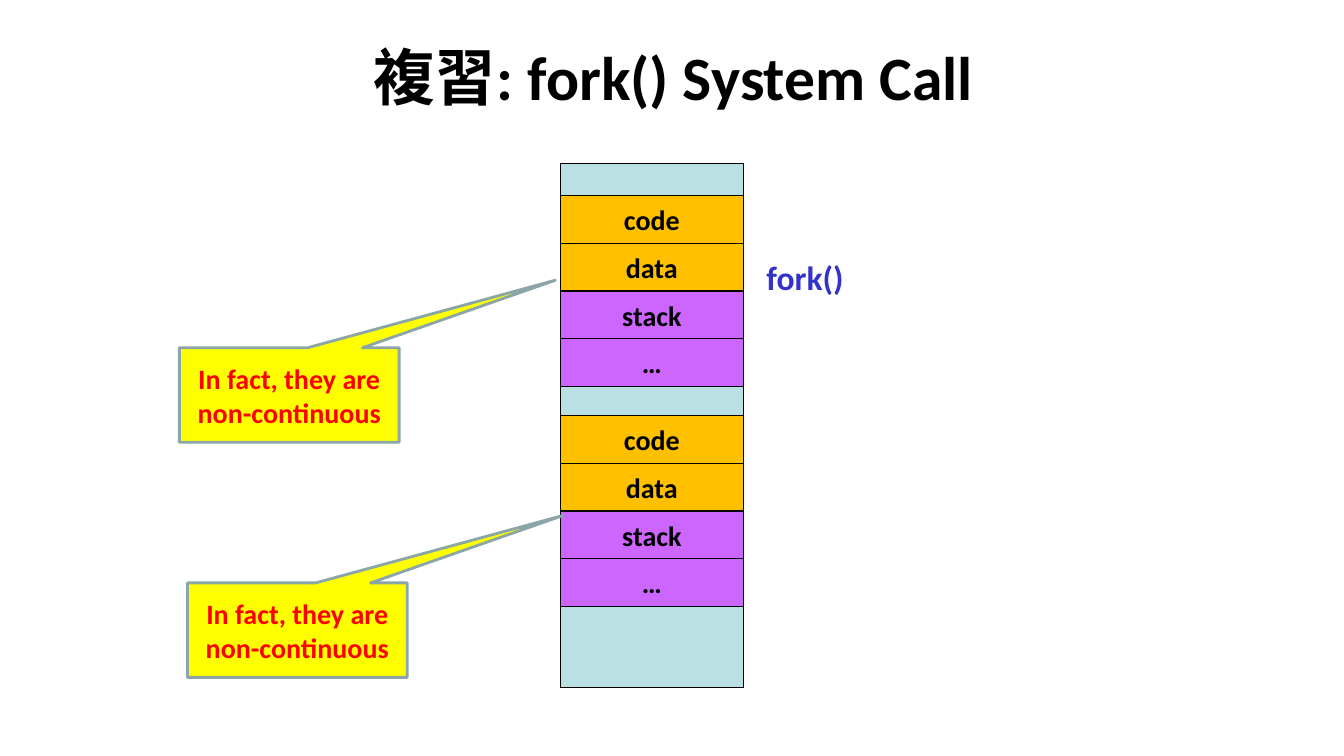
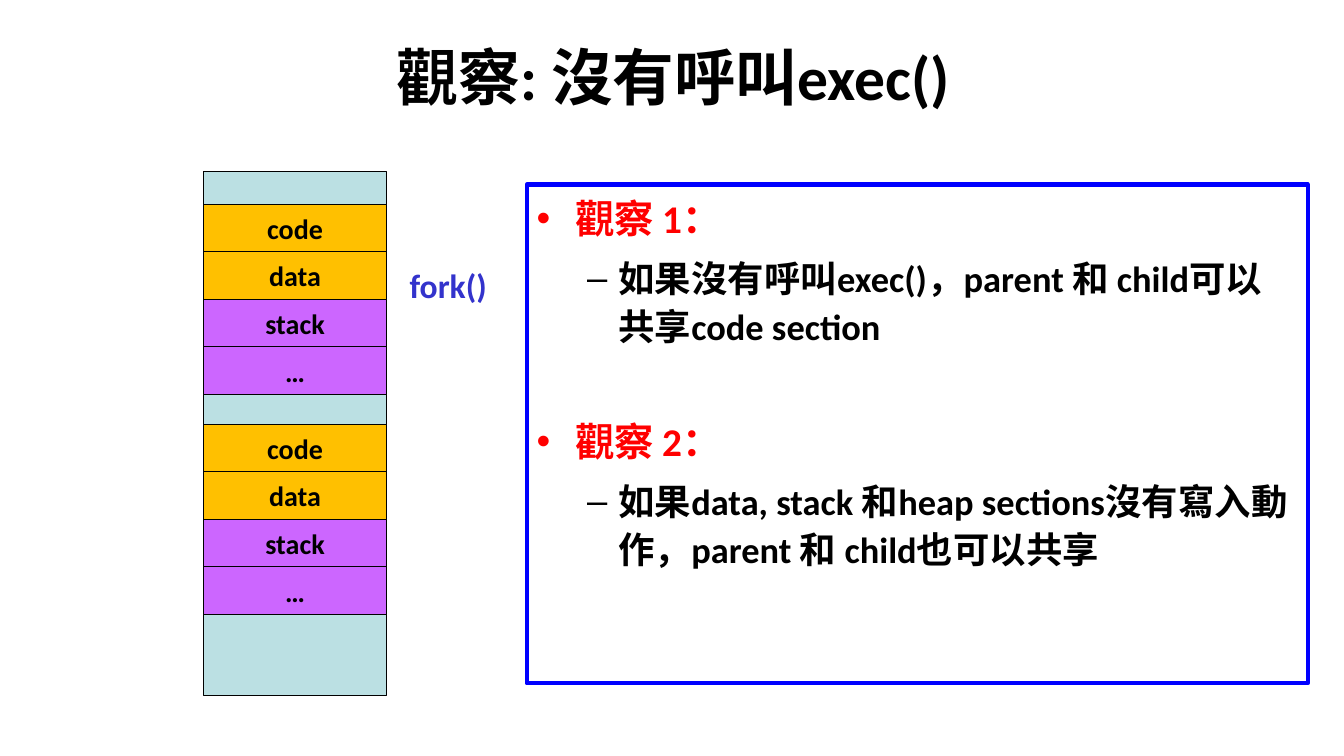
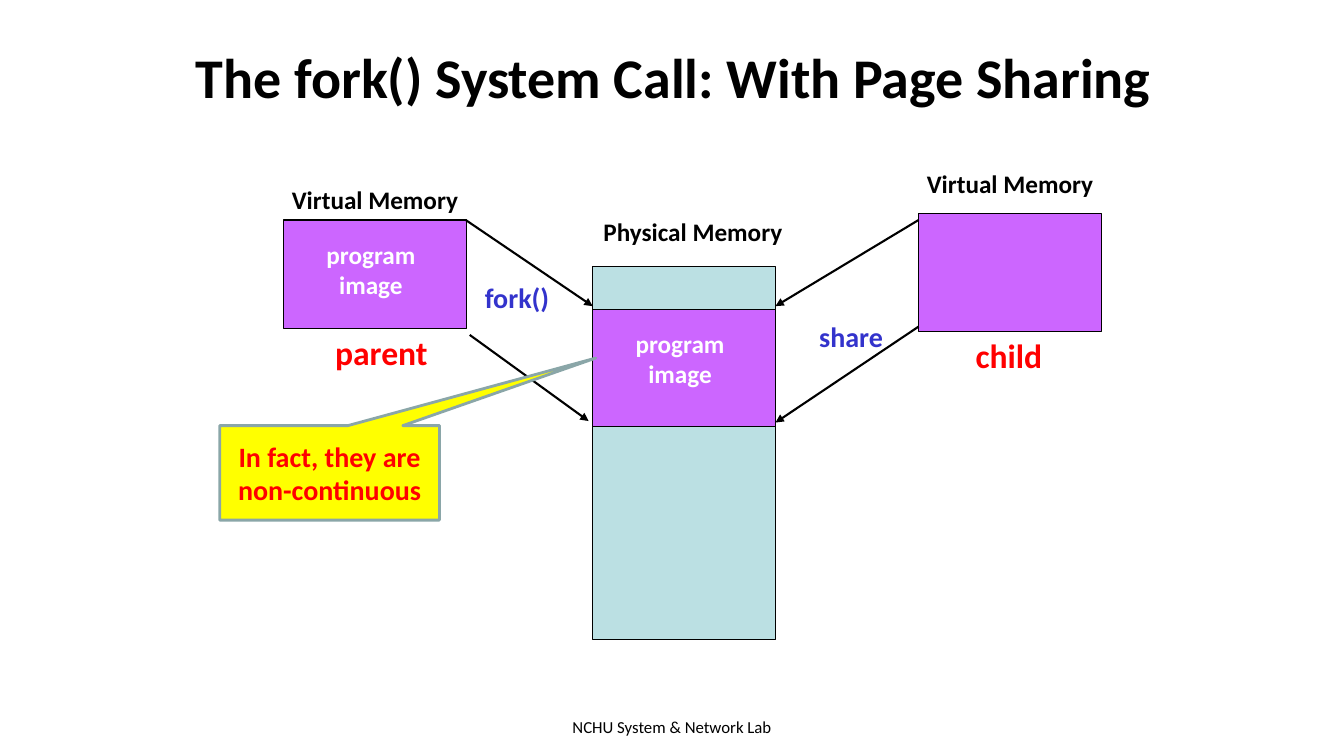
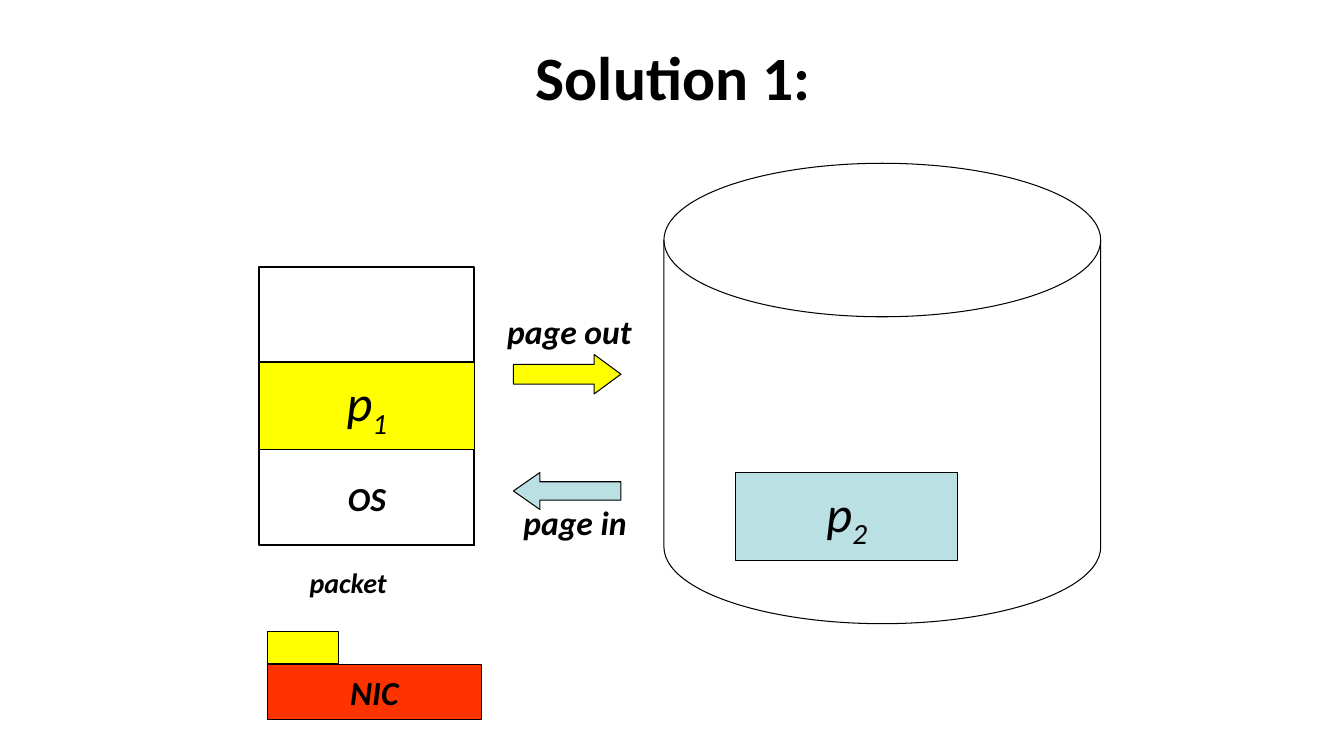
from lxml.etree import SubElement
from pptx import Presentation
from pptx.dml.color import RGBColor
from pptx.enum.shapes import MSO_CONNECTOR, MSO_SHAPE as SHAPE
from pptx.enum.text import MSO_ANCHOR as ANCHOR, PP_ALIGN as ALIGN
from pptx.oxml.ns import qn
from pptx.util import Inches, Pt

# Slide size; every length below is a percentage of its width or height
SLIDE_W, SLIDE_H = Inches(13.33), Inches(7.5)

FONT = "Calibri"
BLACK = RGBColor(0x00, 0x00, 0x00)
WHITE = RGBColor(0xFF, 0xFF, 0xFF)
RED = RGBColor(0xFF, 0x00, 0x00)
YELLOW = RGBColor(0xFF, 0xFF, 0x00)
ORANGE = RGBColor(0xFF, 0xC0, 0x00)
PURPLE = RGBColor(0xCC, 0x66, 0xFF)
PALE_TEAL = RGBColor(0xBB, 0xE0, 0xE3)
GREY_TEAL = RGBColor(0x8A, 0xA6, 0xA8)
INDIGO = RGBColor(0x33, 0x33, 0xCC)
FRAME_BLUE = RGBColor(0x00, 0x00, 0xFF)
NIC_RED = RGBColor(0xFF, 0x33, 0x00)

# Memory diagrams
MEMORY_W = 13.6
SECTION_H = 6.3
PROCESS_TOPS = (4.3, 33.4)
SECTIONS = (("code", ORANGE), ("data", ORANGE), ("stack", PURPLE), ("…", PURPLE))
IMAGE_H = 15.5
LABEL_H = 5.3


def across(share):
    return round(SLIDE_W * share / 100)


def down(share):
    return round(SLIDE_H * share / 100)


def area(left, top, width, height):
    return across(left), down(top), across(width), down(height)


def style_font(font, size, color=BLACK, bold=True, italic=False):
    font.name = FONT
    font.size = Pt(size)
    font.color.rgb = color
    font.bold = bold
    font.italic = italic


def write(shape, text, size, wrap=True, anchor=ANCHOR.MIDDLE, align=ALIGN.CENTER, **look):
    frame = shape.text_frame
    frame.text = text
    frame.word_wrap = wrap
    frame.vertical_anchor = anchor
    paragraph = frame.paragraphs[0]
    paragraph.alignment = align
    style_font(paragraph.runs[0].font, size, **look)
    return paragraph


def add_label(slide, box, text, size, anchor=ANCHOR.TOP, **look):
    write(slide.shapes.add_textbox(*area(*box)), text, size, anchor=anchor, **look)


def add_title(slide, text, size=44):
    add_label(slide, (5.1, 1.7, 90, 16.7), text, size, anchor=ANCHOR.MIDDLE)


def add_block(slide, box, fill=None, kind=SHAPE.RECTANGLE, line=BLACK, weight=0.75):
    block = slide.shapes.add_shape(kind, *area(*box))
    block.shadow.inherit = False
    if fill is None:
        block.fill.background()
    else:
        block.fill.solid()
        block.fill.fore_color.rgb = fill
    block.line.color.rgb = line
    block.line.width = Pt(weight)
    return block


def add_callout(slide, left, top):
    callout = add_block(slide, (left, top, 16.35, 12.5), YELLOW,
                        SHAPE.RECTANGULAR_CALLOUT, GREY_TEAL, 2)
    callout.adjustments[0], callout.adjustments[1] = 1.211, -1.215
    write(callout, "In fact, they are non-continuous", 20, color=RED)


def add_arrow(slide, start, end):
    arrow = slide.shapes.add_connector(
        MSO_CONNECTOR.STRAIGHT,
        across(start[0]), down(start[1]), across(end[0]), down(end[1]))
    arrow.line.color.rgb = BLACK
    arrow.line.width = Pt(1.5)
    SubElement(arrow.line._get_or_add_ln(), qn("a:tailEnd"), type="triangle")
    SubElement(arrow._element.spPr, qn("a:effectLst"))


def add_forked_memory(slide, left, top):
    """Physical memory holding the sections of two processes."""
    add_block(slide, (left, top, MEMORY_W, 69.3), PALE_TEAL)
    for offset in PROCESS_TOPS:
        for row, (name, fill) in enumerate(SECTIONS):
            section_top = top + offset + row * SECTION_H
            section = add_block(slide, (left, section_top, MEMORY_W, SECTION_H), fill)
            write(section, name, 20, wrap=False)
    add_label(slide, (left + 12, top + 11.7, 12.4, 6.7), "fork()", 24, color=INDIGO)


def add_bullet(paragraph, text, level, size, color, before):
    mark, margin, hang = (("•", 0.38, 0.38), ("–", 0.81, 0.31))[level]
    paragraph.text = text
    paragraph.level = level
    paragraph.line_spacing = 1.1
    paragraph.space_before = Pt(before)
    properties = paragraph._p.get_or_add_pPr()
    properties.set("marL", str(Inches(margin)))
    properties.set("indent", str(-Inches(hang)))
    SubElement(properties, qn("a:buFont"), typeface="Arial")
    SubElement(properties, qn("a:buChar"), char=mark)
    style_font(paragraph.runs[0].font, size, color)


def add_observations(slide, box, observations):
    panel = slide.shapes.add_textbox(*area(*box))
    panel.line.color.rgb = FRAME_BLUE
    panel.line.width = Pt(3)
    frame = panel.text_frame
    frame.word_wrap = True
    for number, (heading, detail) in enumerate(observations):
        first = frame.add_paragraph() if number else frame.paragraphs[0]
        add_bullet(first, heading, 0, 28, RED, 46 if number else 0)
        add_bullet(frame.add_paragraph(), detail, 1, 26, BLACK, 7.7)


def add_program_image(slide, left, top, height):
    add_block(slide, (left, top, MEMORY_W, height), PURPLE)
    add_label(slide, (left, top + 1.9, 13, 9.5), "program image", 18, color=WHITE)


def add_page(slide, box, fill, number):
    paragraph = write(add_block(slide, box, fill), "p", 36,
                      wrap=False, bold=False, italic=True)
    subscript = paragraph.add_run()
    subscript.text = number
    style_font(subscript.font, 36, bold=False, italic=True)
    subscript._r.get_or_add_rPr().set("baseline", "-25000")


def add_transfer(slide, kind, box, fill, head, label_box, text):
    arrow = add_block(slide, box, fill, kind)
    arrow.adjustments[0], arrow.adjustments[1] = 0.5, head
    add_label(slide, label_box, text, 24, wrap=False, align=ALIGN.LEFT, italic=True)


def fork_review(slide):
    add_title(slide, "複習: fork() System Call")
    add_forked_memory(slide, 41.7, 21.6)
    add_callout(slide, 13.35, 46)
    add_callout(slide, 13.95, 77.1)


def without_exec(slide):
    add_title(slide, "觀察: 沒有呼叫exec()")
    add_forked_memory(slide, 15.15, 22.7)
    add_observations(slide, (39.2, 24.4, 58.1, 66), (
        ("觀察 1：", "如果沒有呼叫exec()，parent 和 child可以共享code section"),
        ("觀察 2：", "如果data, stack 和heap sections沒有寫入動作，parent 和 child也可以共享"),
    ))


def page_sharing(slide):
    parent_left, physical_left, child_left = 21.1, 44.1, 68.35
    add_label(slide, (34.05, 94.1, 31.9, 3.2), "NCHU System & Network Lab", 12, bold=False)
    add_title(slide, "The fork() System Call: With Page Sharing", 40)

    # Memories
    add_program_image(slide, parent_left, 29.1, 14.4)
    add_block(slide, (child_left, 28.3, MEMORY_W, IMAGE_H), PURPLE)
    add_block(slide, (physical_left, 35.3, MEMORY_W, 49.3), PALE_TEAL)
    add_program_image(slide, physical_left, 40.9, IMAGE_H)
    for left, top, name in ((17.55, 23.7, "Virtual Memory"),
                            (64.8, 21.6, "Virtual Memory"),
                            (41.2, 28, "Physical Memory")):
        add_label(slide, (left, top, 20.7, LABEL_H), name, 18)

    # Mappings to physical memory
    physical_right = physical_left + MEMORY_W
    for start, end in (((34.65, 29.1), (physical_left, 40.5)),
                       ((34.95, 44.3), (43.8, 55.7)),
                       ((child_left, 29.1), (physical_right, 40.5)),
                       ((child_left, 43.2), (physical_right, 55.9))):
        add_arrow(slide, start, end)
    for left, top, action in ((34.05, 36.4, "fork()"), (58.9, 41.6, "share")):
        add_label(slide, (left, top, 8.85, 5.7), action, 20, color=INDIGO)
    for left, top, width, process in ((24.2, 43.2, 8.5, "parent"),
                                      (71.85, 43.7, 6.5, "child")):
        add_label(slide, (left, top, width, 6.7), process, 24,
                  wrap=False, align=ALIGN.LEFT, color=RED)
    add_callout(slide, 16.35, 56.3)


def paging_solution(slide):
    add_title(slide, "Solution 1:")
    memory_left, memory_w, page_h = 19.3, 16, 11.6
    page_box = (memory_left, 47.9, memory_w, page_h)

    # Main memory
    add_block(slide, (memory_left, 35.3, memory_w, 36.8), weight=1.5)
    add_page(slide, page_box, YELLOW, "1")
    system = add_block(slide, (memory_left, 59.5, memory_w, 12.7))
    write(system, "OS", 24, wrap=False, italic=True)
    add_block(slide, page_box, weight=1)

    # Disk and page transfers
    add_block(slide, (49.4, 21.6, 32.5, 60.9), kind=SHAPE.FLOWCHART_MAGNETIC_DISK)
    add_page(slide, (54.75, 62.5, 16.5, page_h), PALE_TEAL, "2")
    add_transfer(slide, SHAPE.RIGHT_ARROW, (38.2, 46.9, 8, 5.2), YELLOW, 0.68,
                 (37, 40.5, 10.8, 6.8), "page out")
    add_transfer(slide, SHAPE.LEFT_ARROW, (38.2, 62.5, 8, 4.9), PALE_TEAL, 0.715,
                 (38.2, 65.7, 9.2, 6.8), "page in")

    # Network card with an arriving packet
    card = add_block(slide, (19.9, 87.9, 15.9, 7.3), NIC_RED)
    write(card, "NIC", 24, wrap=False, italic=True)
    add_label(slide, (22.3, 74.1, 7.3, 5.9), "packet", 20,
              wrap=False, align=ALIGN.LEFT, italic=True)
    add_block(slide, (19.9, 83.6, 5.3, 4.2), YELLOW)


def main():
    deck = Presentation()
    deck.slide_width, deck.slide_height = SLIDE_W, SLIDE_H
    blank = deck.slide_layouts[6]
    for build in (fork_review, without_exec, page_sharing, paging_solution):
        build(deck.slides.add_slide(blank))
    deck.save("out.pptx")


if __name__ == "__main__":
    main()
